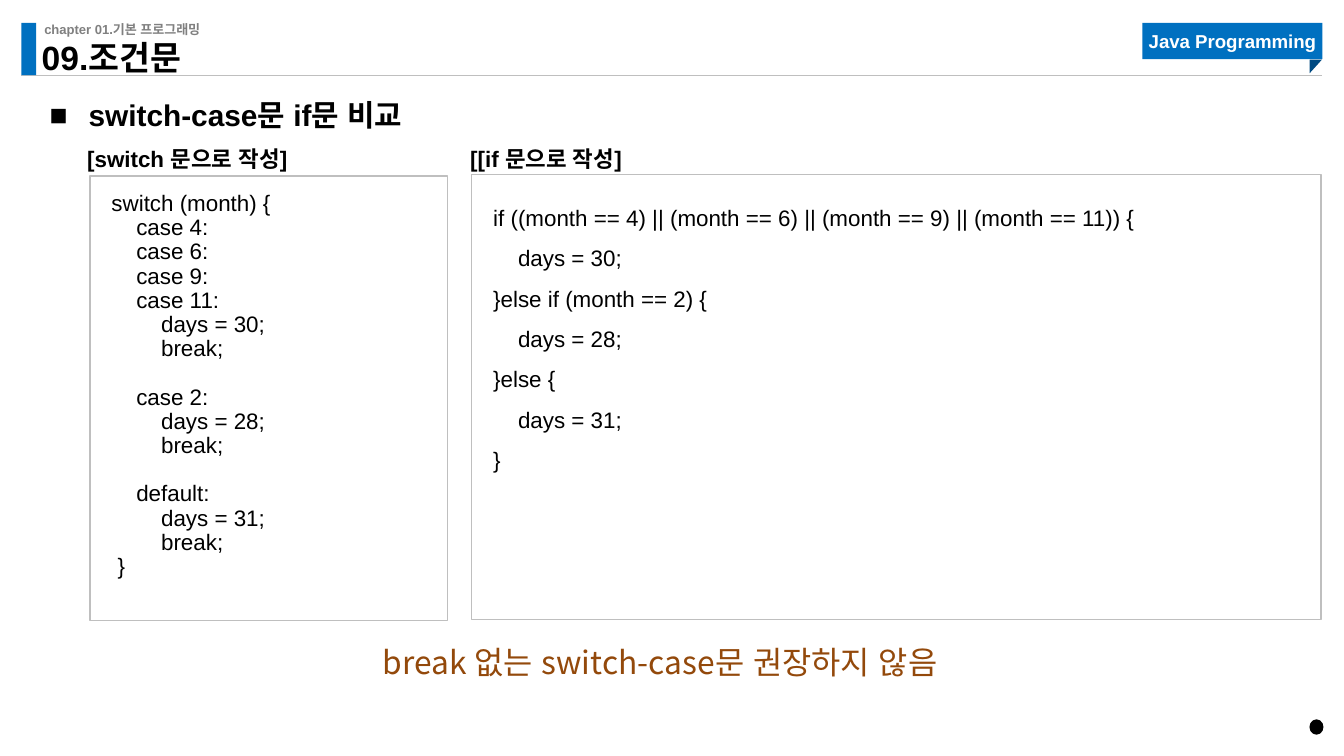
from lxml import etree
from pptx import Presentation
from pptx.dml.color import RGBColor
from pptx.enum.lang import MSO_LANGUAGE_ID
from pptx.enum.shapes import MSO_CONNECTOR, MSO_SHAPE
from pptx.enum.text import MSO_ANCHOR, MSO_AUTO_SIZE, PP_ALIGN
from pptx.oxml.ns import qn
from pptx.util import Inches, Pt

RECTANGLE, TRIANGLE, DOT = MSO_SHAPE.RECTANGLE, MSO_SHAPE.RIGHT_TRIANGLE, MSO_SHAPE.OVAL
TOP, MIDDLE, BOTTOM = MSO_ANCHOR.TOP, MSO_ANCHOR.MIDDLE, MSO_ANCHOR.BOTTOM
LEFT, CENTER = PP_ALIGN.LEFT, PP_ALIGN.CENTER
KOREAN = MSO_LANGUAGE_ID.KOREAN
COLORS = {"blue": "0070C0", "navy": "004A82", "rule": "BFBFBF", "gray": "808080",
          "black": "000000", "white": "FFFFFF", "brown": "93490B"}
COLORS = {name: RGBColor.from_string(code) for name, code in COLORS.items()}
LABEL_INSETS = (0.1, 0.05, 0.1, 0.05)
CODE_INSETS = (0.16, 0.12, 0.16, 0)

SWITCH_CODE = """switch (month) {
    case 4:
    case 6:
    case 9:
    case 11:
        days = 30;
        break;

    case 2:
        days = 28;
        break;

    default:
        days = 31;
        break;
 }"""
IF_CODE = """if ((month == 4) || (month == 6) || (month == 9) || (month == 11)) {
    days = 30;
}else if (month == 2) {
    days = 28;
}else {
    days = 31;
}"""

deck = Presentation()
deck.slide_width = Inches(10)
deck.slide_height = deck.slide_width * 9 // 16
page = deck.slides.add_slide(deck.slide_layouts[5])
CELL = deck.slide_width / 100  # square grid, 100 columns wide


def add_block(shape_type, left, top, width, height, fill=None, line=None, weight=0.75):
    """Add a flat shape, or a text box when shape_type is None; lengths in cells."""
    area = [round(n * CELL) for n in (left, top, width, height)]
    if shape_type is None:
        return page.shapes.add_textbox(*area)
    shape = page.shapes.add_shape(shape_type, *area)
    shape.shadow.inherit = False
    if fill:
        shape.fill.solid()
        shape.fill.fore_color.rgb = COLORS[fill]
    else:
        shape.fill.background()
    if line:
        shape.line.color.rgb = COLORS[line]
        shape.line.width = Pt(weight)
    else:
        shape.line.fill.background()
    return shape


def write(box, text, size, color="black", bold=False, spacing=1.0, anchor=TOP,
          align=LEFT, insets=(0, 0, 0, 0), font="Arial"):
    """Fill a box with lines of text; an empty line becomes space before the next."""
    frame = box.text_frame
    frame.word_wrap = True
    frame.auto_size = MSO_AUTO_SIZE.NONE
    frame.vertical_anchor = anchor
    (frame.margin_left, frame.margin_top,
     frame.margin_right, frame.margin_bottom) = map(Inches, insets)
    lines = text.split("\n")
    frame.text = "\n".join(line for line in lines if line)
    gaps = [not before for before, line in zip([" "] + lines, lines) if line]
    for para, gap in zip(frame.paragraphs, gaps):
        para.alignment = align
        para.line_spacing = spacing
        para.space_before = Pt(13 if gap else 0)
        for span in para.runs:
            span.font.name = font
            span.font.size = Pt(size)
            span.font.bold = bold
            span.font.color.rgb = COLORS[color]
            span.font.language_id = KOREAN


# Header
rule_y = round(5.6 * CELL)
rule = page.shapes.add_connector(MSO_CONNECTOR.STRAIGHT, round(1.6 * CELL), rule_y,
                                 round(98.4 * CELL), rule_y)
rule.line.color.rgb = COLORS["rule"]
rule.line.width = Pt(0.5)
etree.SubElement(rule._element.spPr, qn("a:effectLst"))

add_block(RECTANGLE, 1.6, 1.7, 1.1, 3.9, "blue")
chapter = add_block(None, 3.3, 1.6, 32.3, 1.2)
write(chapter, "chapter 01.기본 프로그래밍", 7, "gray", bold=True)
course = add_block(RECTANGLE, 85, 1.7, 13.4, 2.7, "blue")
write(course, "Java Programming", 10, "white", bold=True, anchor=MIDDLE, align=CENTER)
fold = add_block(TRIANGLE, 97.4, 4.5, 1, 0.9, "navy")
fold.rotation = 90

title = page.shapes.title
title.left, title.top, title.width, title.height = [
    round(n * CELL) for n in (3.1, 3.5, 33, 2.3)]
write(title, "09.조건문", 18, bold=True, spacing=0.9, anchor=BOTTOM)

# Topic with a square bullet
topic = add_block(None, 3.7, 5.9, 95.4, 3.3)
write(topic, "switch-case문 if문 비교", 16, bold=True, spacing=1.5)
props = topic.text_frame.paragraphs[0]._p.get_or_add_pPr()
props.set("marL", str(Inches(0.29)))
props.set("indent", str(-Inches(0.29)))
etree.SubElement(props, qn("a:buFont")).set("typeface", "Arial")
etree.SubElement(props, qn("a:buChar")).set("char", "■")

# Code panels: label, label left, panel left, top and width, code, line spacing
panels = [
    ("[switch 문으로 작성]", 5.5, 6.7, 13.1, 26.6, SWITCH_CODE, 0.9),
    ("[[if 문으로 작성]", 34, 35.1, 13, 63.2, IF_CODE, 1.5),
]
for label, label_left, left, top, width, code, spacing in panels:
    caption = add_block(None, label_left, 10.3, 23.8, 3)
    write(caption, label, 12, bold=True, insets=LABEL_INSETS)
    panel = add_block(RECTANGLE, left, top, width, 33.1, line="rule")
    write(panel, code, 12, spacing=spacing, insets=CODE_INSETS)

# Advice and page mark
advice = add_block(None, 27.5, 46.2, 48.6, 4.7)
write(advice, "break 없는 switch-case문 권장하지 않음", 17, "brown", spacing=1.5,
      anchor=MIDDLE, insets=LABEL_INSETS, font="Noto Sans CJK KR")
add_block(DOT, 97.5, 53.6, 0.9, 1, "black", "black", 1)

deck.save("out.pptx")
